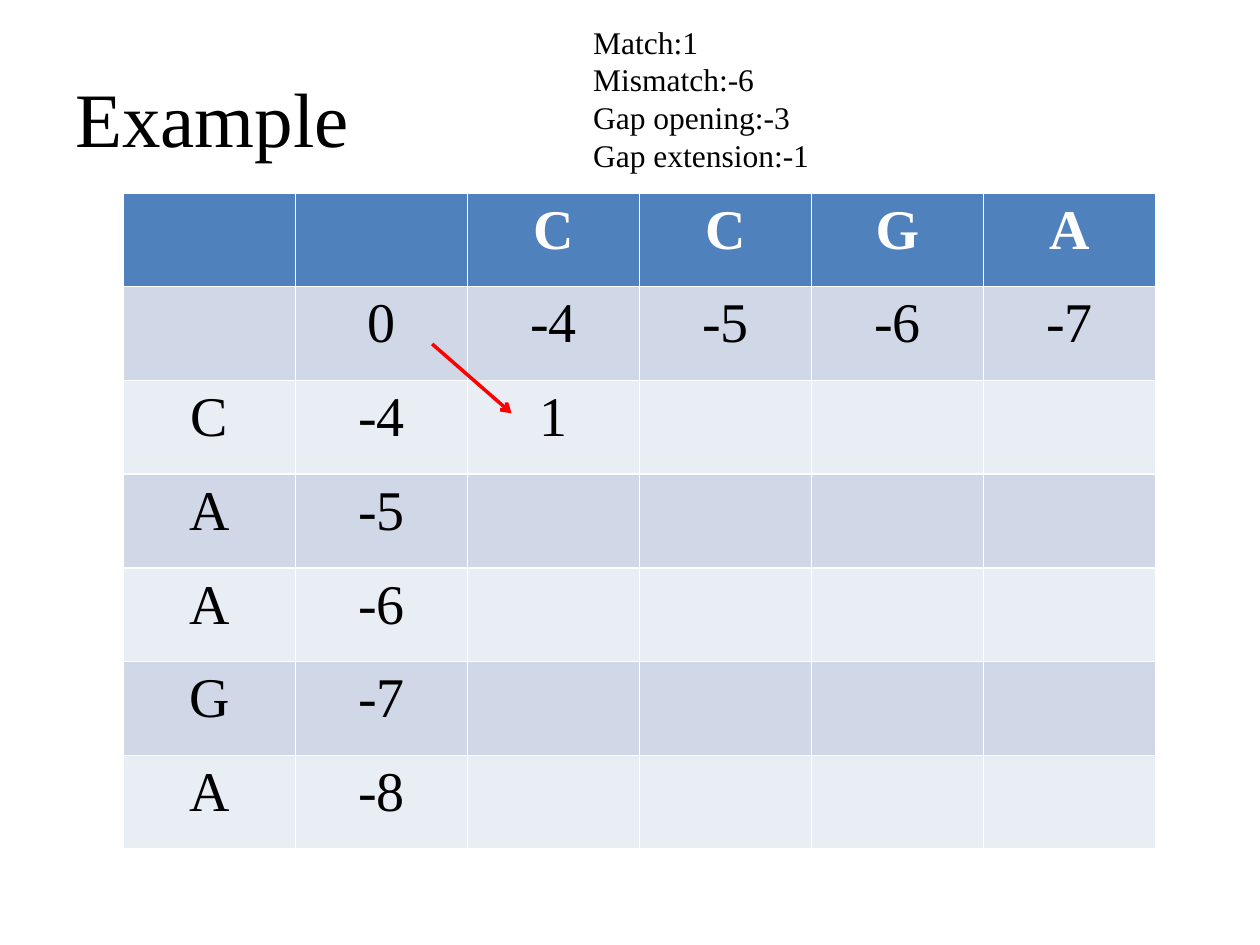
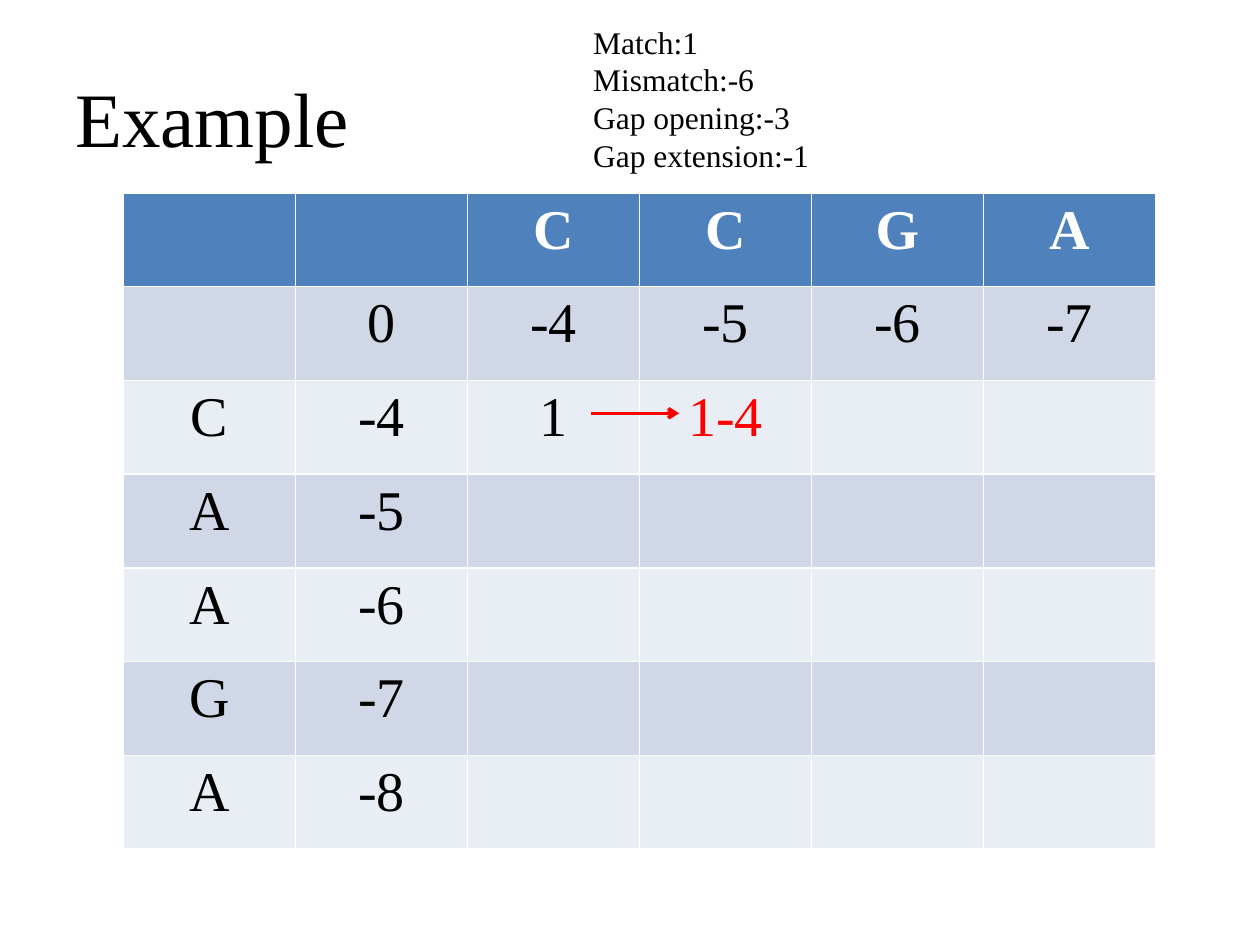
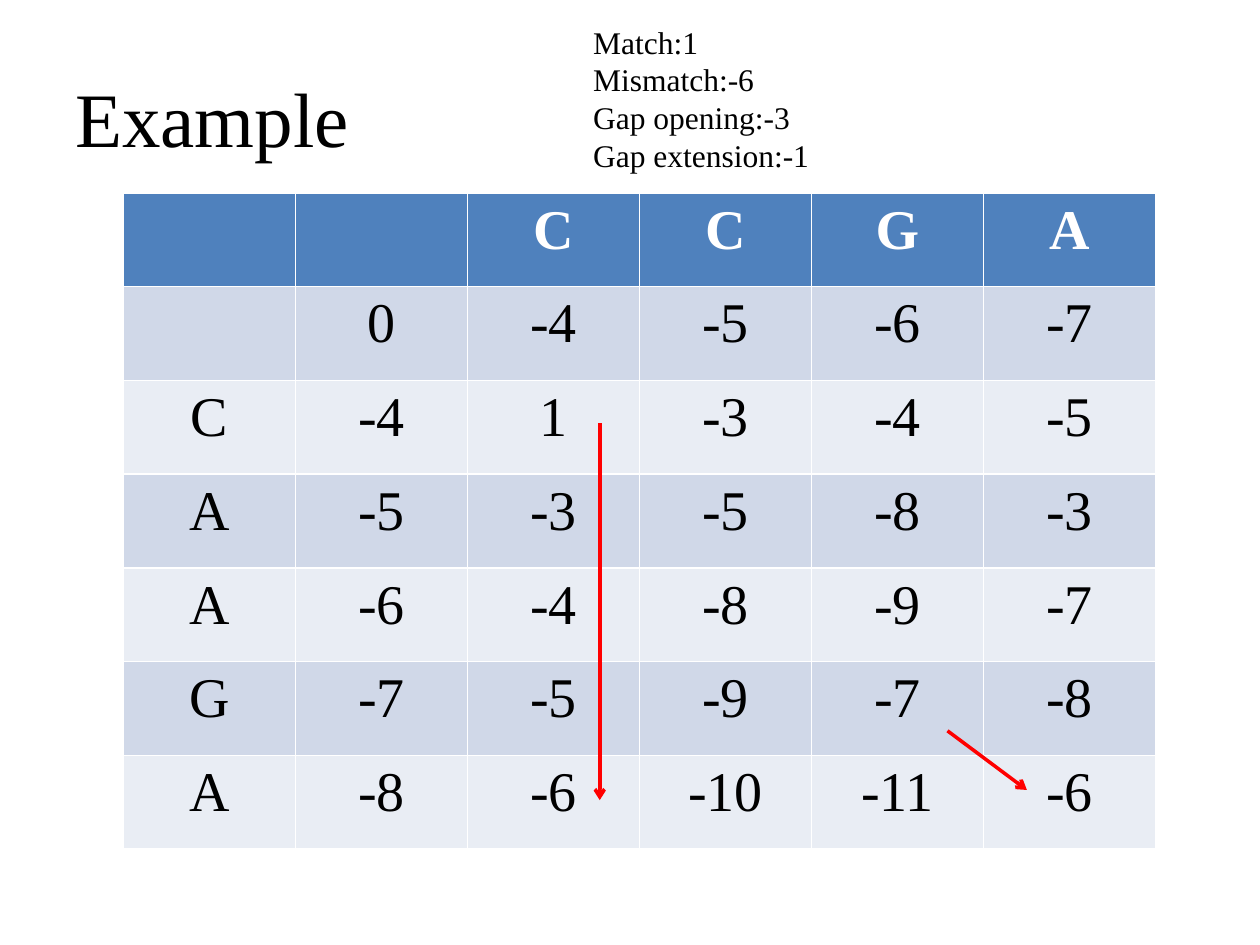
from dataclasses import dataclass

from lxml import etree
from pptx import Presentation
from pptx import util as u
from pptx.dml.color import RGBColor
from pptx.enum import shapes, text
from pptx.oxml import ns


@dataclass(frozen=True)
class Theme:
    font: str = "Times New Roman"
    ink: str = "000000"
    header_ink: str = "FFFFFF"
    accent: str = "FF0000"
    header_fill: str = "4F81BD"
    bands: tuple = ("E9EDF4", "D0D8E8")
    title_size: int = 44
    cell_size: int = 32
    note_size: int = 18
    arrow_width: int = 2


theme = Theme()


def add_span(para, words, size, color=theme.ink, bold=False):
    span = para.add_run()
    span.text = words
    span.font.name = theme.font
    span.font.size = u.Pt(size)
    span.font.bold = bold
    span.font.color.rgb = RGBColor.from_string(color)


def add_arrow(page, start, end):
    points = [u.Inches(value) for value in (*start, *end)]
    arrow = page.shapes.add_connector(shapes.MSO_CONNECTOR.STRAIGHT, *points)
    arrow.line.color.rgb = RGBColor.from_string(theme.accent)
    arrow.line.width = u.Pt(theme.arrow_width)
    tail = etree.SubElement(arrow.line._get_or_add_ln(), ns.qn("a:tailEnd"))
    tail.set("type", "arrow")
    etree.SubElement(arrow._element.spPr, ns.qn("a:effectLst"))


scoring = ["Match:1", "Mismatch:-6", "Gap opening:-3", "Gap extension:-1"]
top_sequence = "CCGA"
side_sequence = "CAAGA"
gap_opening, gap_extension = -3, -1

# Each step holds the inner scores known so far, the score in red, and the arrows.
steps = [
    ([["1"]], None, [((3.43, 2.73), (4.06, 3.28))]),
    ([["1", "1-4"]], "1-4", [((4.69, 3.28), (5.39, 3.28))]),
    (
        [
            ["1", "-3", "-4", "-5"],
            ["-3", "-5", "-8", "-3"],
            ["-4", "-8", "-9", "-7"],
            ["-5", "-9", "-7", "-8"],
            ["-6", "-10", "-11", "-6"],
        ],
        None,
        [((7.52, 5.8), (8.15, 6.27)), ((4.76, 3.36), (4.76, 6.35))],
    ),
]

deck = Presentation()
deck.slide_width, deck.slide_height = u.Inches(10), u.Inches(7.5)

for scores, highlighted, arrows in steps:
    page = deck.slides.add_slide(deck.slide_layouts[6])

    title = page.shapes.add_textbox(
        u.Inches(0.5), u.Inches(0.3), u.Inches(9), u.Inches(1.25)
    ).text_frame
    title.word_wrap = True
    title.vertical_anchor = text.MSO_ANCHOR.MIDDLE
    add_span(title.paragraphs[0], "Example", theme.title_size)

    # Borders of the matrix follow from the gap penalties.
    rows = [["", "", *top_sequence], ["", "0"]]
    for length in range(1, len(top_sequence) + 1):
        rows[1].append(str(gap_opening + length * gap_extension))
    for length, letter in enumerate(side_sequence, 1):
        known = scores[length - 1] if length <= len(scores) else []
        rows.append([letter, str(gap_opening + length * gap_extension), *known])

    matrix = page.shapes.add_table(
        len(rows), len(rows[0]),
        u.Inches(0.98), u.Inches(1.53), u.Inches(8.19), u.Inches(5.21),
    ).table
    for row_index in range(len(rows)):
        header = row_index == 0
        fill = theme.header_fill if header else theme.bands[row_index % 2]
        for column_index in range(len(rows[0])):
            cell = matrix.cell(row_index, column_index)
            cell.fill.solid()
            cell.fill.fore_color.rgb = RGBColor.from_string(fill)
            para = cell.text_frame.paragraphs[0]
            para.alignment = text.PP_ALIGN.CENTER
            words = "".join(rows[row_index][column_index:column_index + 1])
            if words:
                color = theme.header_ink if header else theme.ink
                if words == highlighted:
                    color = theme.accent
                add_span(para, words, theme.cell_size, color, header)

    note = page.shapes.add_textbox(
        u.Inches(4.61), u.Inches(0.13), u.Inches(1.93), u.Inches(1.31)
    ).text_frame
    note.word_wrap = False
    note.auto_size = text.MSO_AUTO_SIZE.SHAPE_TO_FIT_TEXT
    for index, rule in enumerate(scoring):
        para = note.add_paragraph() if index else note.paragraphs[0]
        add_span(para, rule, theme.note_size)

    for start, end in arrows:
        add_arrow(page, start, end)

deck.save("out.pptx")
